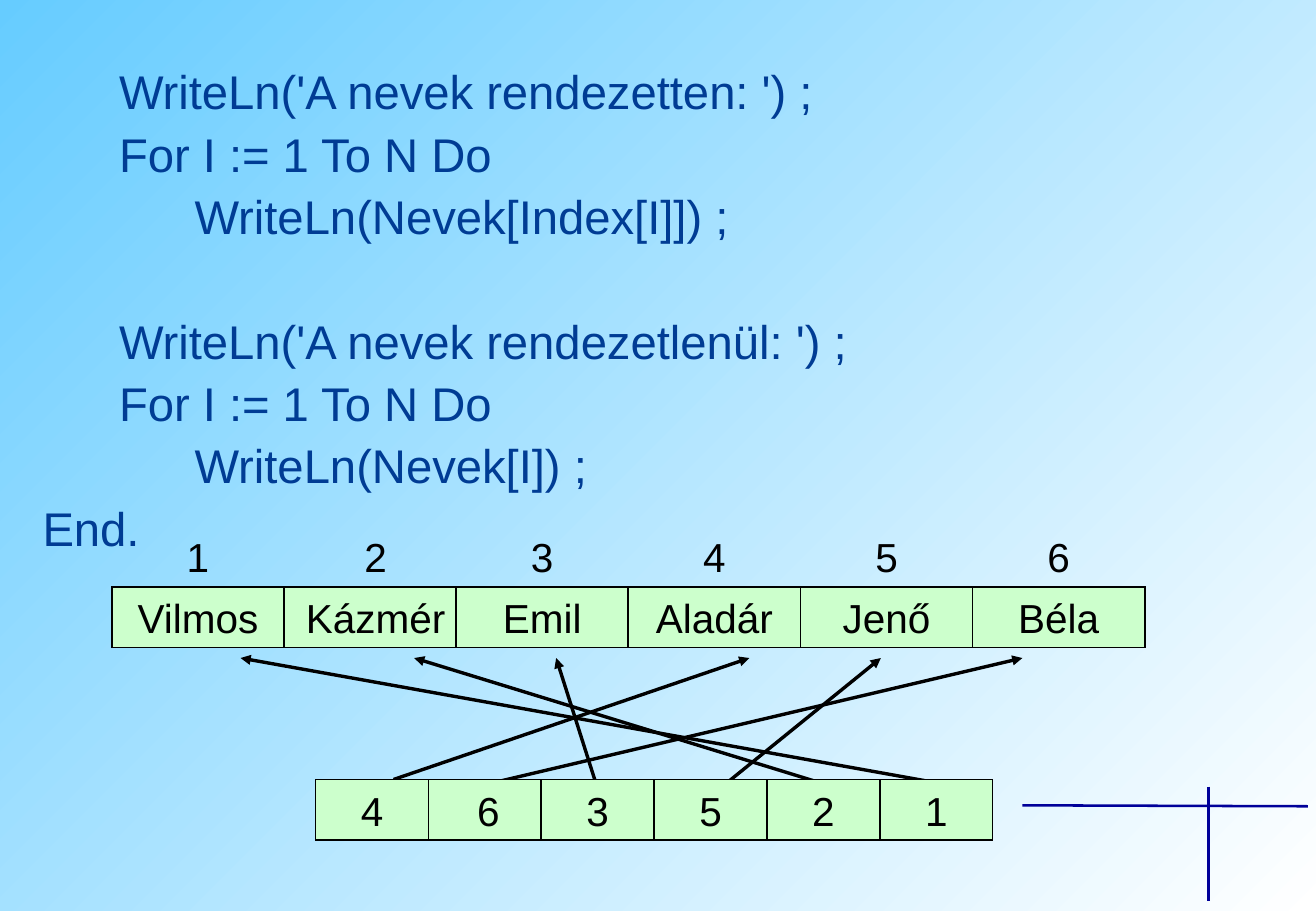
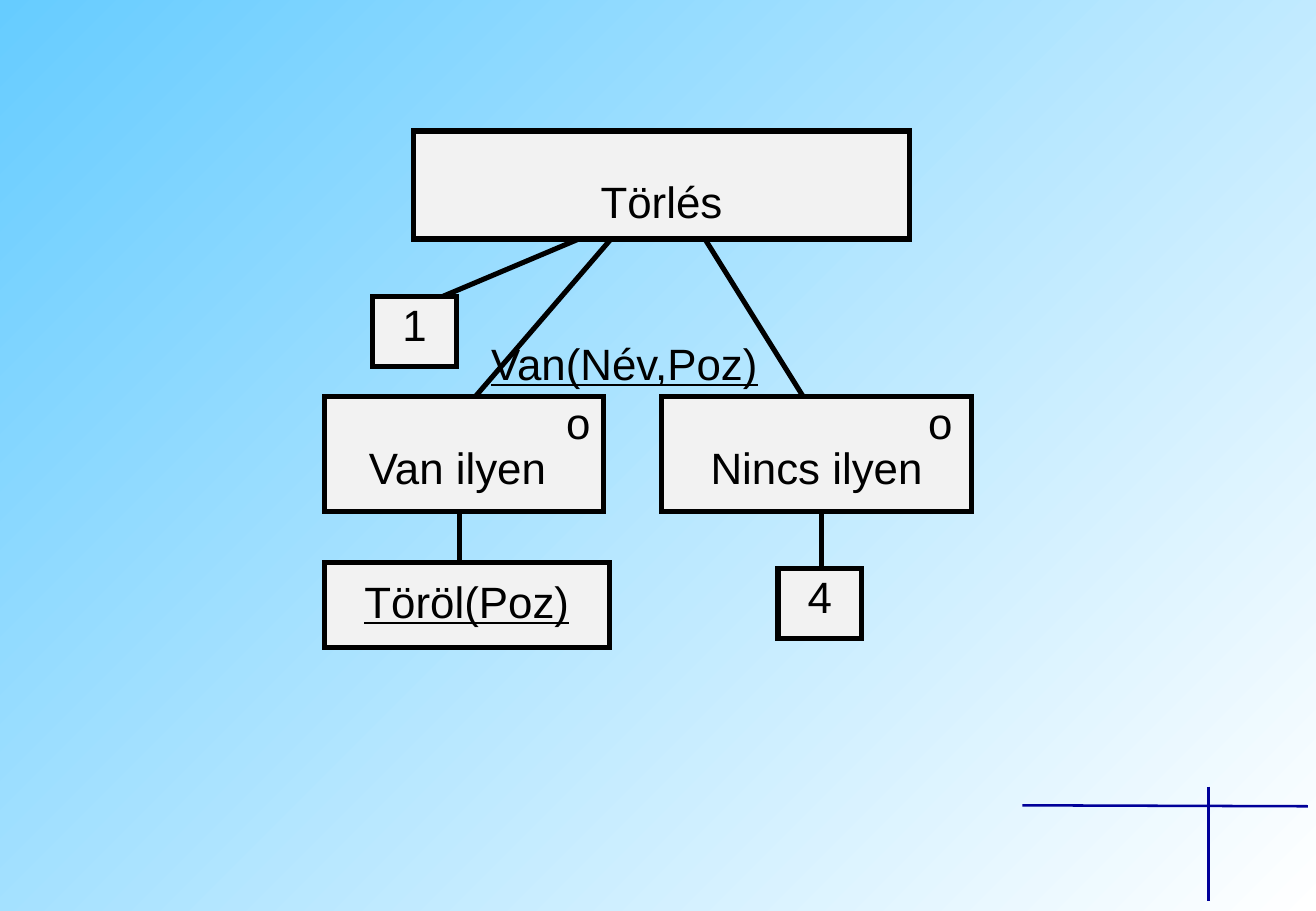
import pptx
import pptx.dml.color
import pptx.enum.shapes
import pptx.enum.text
import pptx.util
from lxml import etree
from pptx.oxml.ns import qn

Cm = pptx.util.Cm
Pt = pptx.util.Pt
ALIGN = pptx.enum.text.PP_ALIGN


def colour(hex_code):
    """Turn a hex string into a colour."""
    return pptx.dml.color.RGBColor.from_string(hex_code)


def write(frame, text, size=24, ink="000000", align=ALIGN.CENTER, spacing=None,
          underline=None, insets=(0.25, 0.13, 0.25, 0.13), tabs=(), gaps=None):
    """Fill a text frame, one paragraph for each line of text."""
    frame.word_wrap = True
    frame.vertical_anchor = pptx.enum.text.MSO_ANCHOR.TOP
    (frame.margin_left, frame.margin_top,
     frame.margin_right, frame.margin_bottom) = map(Cm, insets)
    for number, line in enumerate(text.split("\n")):
        paragraph = frame.add_paragraph() if number else frame.paragraphs[0]
        if tabs:
            stops = etree.SubElement(paragraph._p.get_or_add_pPr(), qn("a:tabLst"))
            for stop in tabs:
                etree.SubElement(stops, qn("a:tab"), pos=str(Cm(stop)), algn="l")
        paragraph.alignment = align
        if spacing:
            paragraph.line_spacing = spacing
        if gaps and number in gaps:
            paragraph.space_before = Pt(gaps[number])
        run = paragraph.add_run()
        run.text = line
        run.font.name = "Arial"
        run.font.size = Pt(size)
        run.font.color.rgb = colour(ink)
        run.font.underline = underline


class Deck:
    """Holds the shared style and the current slide."""

    BLACK, RULE, CODE = "000000", "000099", "003C94"
    CELL, NODE = "CCFFCC", "F2F2F2"
    GRADIENT = ("FFFFFF", "66CCFF")
    CORNER_RULES = ((21.38, 16.84, 27.35, 16.86), (25.27, 16.45, 25.27, 18.85))
    NODE_INSETS = (0.03, 0.03, 0.03, 0.03)

    def __init__(self):
        """Start an empty presentation."""
        self.presentation = pptx.Presentation()
        self.presentation.slide_width = Cm(27.52)
        self.presentation.slide_height = Cm(19.05)
        self.slide = None

    def new_slide(self):
        """Add a slide with the gradient and the corner rules."""
        self.slide = self.presentation.slides.add_slide(
            self.presentation.slide_layouts[6])
        fill = self.slide.background.fill
        fill.gradient()
        fill.gradient_angle = 135
        for stop, tint in zip(fill.gradient_stops, self.GRADIENT):
            stop.color.rgb = colour(tint)
        for rule in self.CORNER_RULES:
            self.line(*rule, ink=self.RULE, weight=1.5)

    def line(self, x1, y1, x2, y2, ink=BLACK, weight=3, arrow=False):
        """Draw a straight line, with an arrowhead at its end if asked."""
        connector = self.slide.shapes.add_connector(
            pptx.enum.shapes.MSO_CONNECTOR.STRAIGHT, Cm(x1), Cm(y1), Cm(x2), Cm(y2))
        connector.line.color.rgb = colour(ink)
        connector.line.width = Pt(weight)
        if arrow:
            etree.SubElement(connector.line._get_or_add_ln(), qn("a:tailEnd"),
                             type="triangle")
        etree.SubElement(connector._element.spPr, qn("a:effectLst"))

    def text(self, x, y, width, height, content, **style):
        """Place plain text."""
        label = self.slide.shapes.add_textbox(Cm(x), Cm(y), Cm(width), Cm(height))
        write(label.text_frame, content, **style)

    def box(self, x, y, width, height, content, fill, weight, **style):
        """Place a sharp-cornered outlined rectangle with text."""
        shape = self.slide.shapes.add_shape(
            pptx.enum.shapes.MSO_SHAPE.RECTANGLE, Cm(x), Cm(y), Cm(width), Cm(height))
        shape.shadow.inherit = False
        shape.fill.solid()
        shape.fill.fore_color.rgb = colour(fill)
        shape.line.color.rgb = colour(self.BLACK)
        shape.line.width = Pt(weight)
        etree.SubElement(shape.line._get_or_add_ln(), qn("a:miter"), lim="800000")
        write(shape.text_frame, content, **style)

    def row(self, x, y, width, contents, second_extra, boxed=True):
        """Place array elements side by side, the second slightly wider."""
        for number, content in enumerate(contents):
            place = (x + number * width, y,
                     width + (second_extra if number == 1 else 0), 1.27, content)
            if boxed:
                self.box(*place, fill=self.CELL, weight=1)
            else:
                self.text(*place)

    def node(self, x, y, width, height, content, insets=NODE_INSETS, **style):
        """Place a box of the structure diagram."""
        self.box(x, y, width, height, content, fill=self.NODE, weight=3,
                 size=26, insets=insets, **style)

    def note(self, x, y, width, content, **style):
        """Place unboxed text of the structure diagram."""
        self.text(x, y, width, 1.2, content, size=26, align=ALIGN.LEFT,
                  insets=self.NODE_INSETS, **style)


LISTING = """\tWriteLn('A nevek rendezetten: ') ;
\tFor I := 1 To N Do
\t\tWriteLn(Nevek[Index[I]]) ;
\tWriteLn('A nevek rendezetlenül: ') ;
\tFor I := 1 To N Do
\t\tWriteLn(Nevek[I]) ;
End."""


def index_slide(deck):
    """Show the listing and the index array pointing at the names."""
    deck.new_slide()
    deck.text(0.64, 1.06, 24.53, 10.7, LISTING, size=28, ink=deck.CODE,
              align=ALIGN.LEFT, spacing=1.1, tabs=(1.6, 3.18), gaps={3: 37})
    pointers = ((9.75, 16.5, 21.38), (8.23, 16.3, 15.67), (12.5, 16.5, 11.63),
                (15.04, 16.5, 18.42), (17.58, 16.5, 8.66), (20.32, 16.5, 5.03))
    for start_x, start_y, end_x in pointers:
        deck.line(start_x, start_y, end_x, 13.76, weight=2, arrow=True)
    names = ("Vilmos", "Kázmér", "Emil", "Aladár", "Jenő", "Béla")
    deck.row(2.34, 12.27, 3.6, names, 0.23)
    deck.row(2.34, 11, 3.6, "123456", 0.23, boxed=False)
    deck.row(6.6, 16.3, 2.36, "463521", 0.15)


def deletion_slide(deck):
    """Show the structure diagram of the deletion."""
    deck.new_slide()
    deck.line(9.6, 12.85, 9.6, 9.98)
    deck.line(17.17, 10.41, 17.17, 12.47)
    deck.node(16.27, 11.88, 1.75, 1.47, "4")
    deck.line(13, 4.62, 8.59, 6.48)
    deck.node(7.8, 6.2, 1.74, 1.47, "1")
    deck.node(8.64, 2.74, 10.39, 2.26, "Törlés", spacing=1.8)
    deck.line(17.25, 9.02, 14.73, 4.98)
    deck.line(9.27, 9.07, 12.75, 5.03)
    deck.note(10.24, 7.01, 7.65, "Van(Név,Poz)", underline=True)
    deck.node(13.84, 8.3, 6.48, 2.39, "Nincs ilyen", spacing=1.8)
    deck.note(19.38, 8.25, 1.37, "o")
    deck.node(6.78, 8.3, 5.84, 2.39, "Van ilyen", spacing=1.8,
              insets=(0.03, 0.03, 0.29, 0.03))
    deck.note(11.81, 8.25, 1.24, "o")
    deck.node(6.78, 11.76, 5.97, 1.78, "Töröl(Poz)", spacing=1.2, underline=True)


def main():
    """Build and save the presentation."""
    deck = Deck()
    index_slide(deck)
    deletion_slide(deck)
    deck.presentation.save("out.pptx")


if __name__ == "__main__":
    main()
